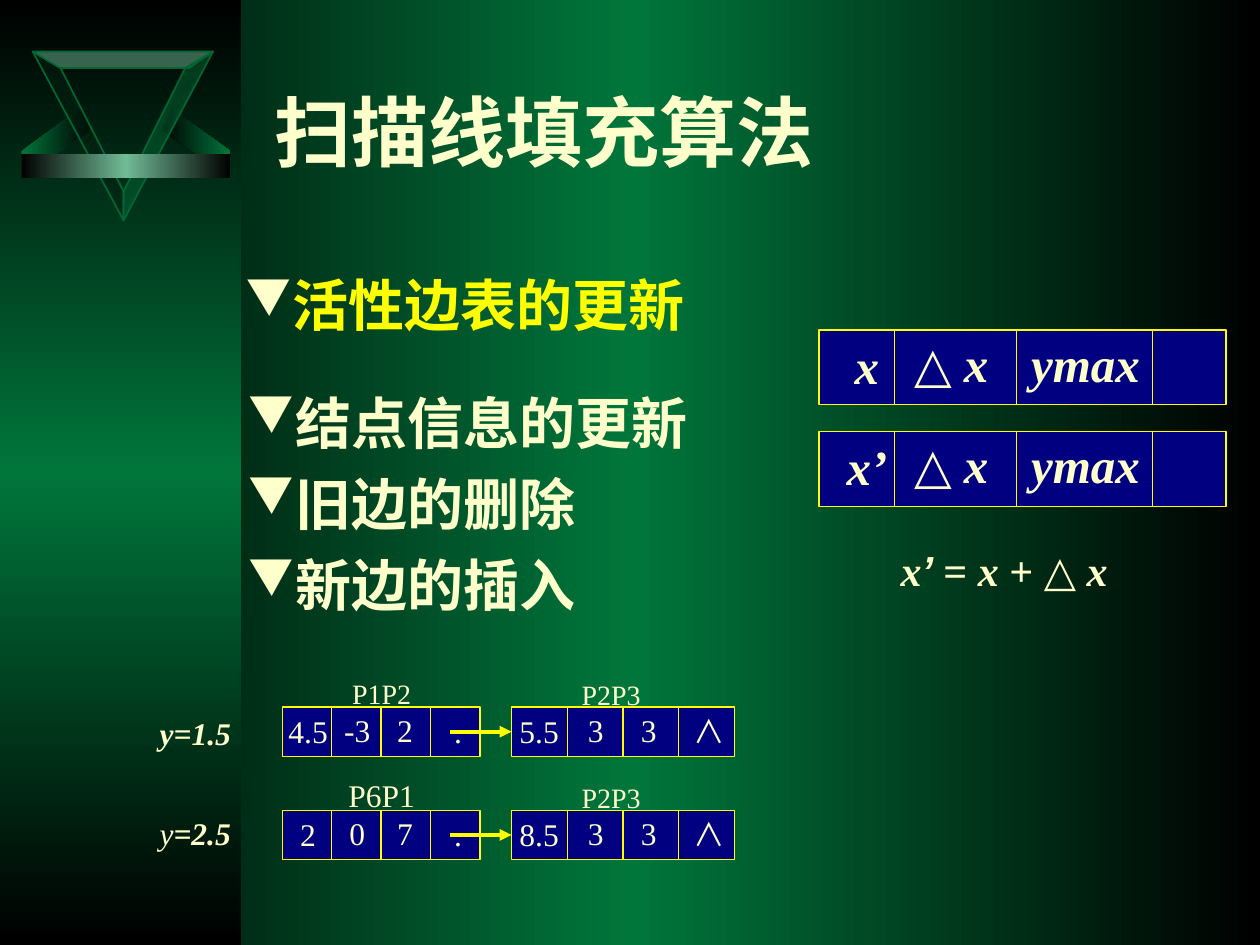
import dataclasses
import typing

import lxml.etree
import pptx
import pptx.dml.color
import pptx.enum.shapes
import pptx.enum.text
import pptx.oxml.ns
import pptx.util

Pt = pptx.util.Pt
qn = pptx.oxml.ns.qn
ALIGN = pptx.enum.text.PP_ALIGN
SERIF, SANS, CJK = "Times New Roman", "Arial", "Noto Sans CJK SC"
CREAM, YELLOW, NAVY = "FFFFCC", "FFFF00", "000080"
BLACK, GREEN, MINT, DARK_GREEN = "000000", "00763B", "71BB96", "006633"


class Run(typing.NamedTuple):
    text: str
    italic: bool | None = None
    bold: bool | None = None
    font: str | None = None


@dataclasses.dataclass
class Style:
    size: float
    bold: bool = False
    italic: bool | None = False
    color: str = CREAM
    font: str = SERIF
    align: ALIGN | None = ALIGN.CENTER
    before: float = 0
    line_spacing: float | None = None
    bullet: bool = False
    anchor: pptx.enum.text.MSO_ANCHOR = pptx.enum.text.MSO_ANCHOR.TOP
    grow: bool = True


@dataclasses.dataclass
class Facet:
    points: list[tuple[float, float]]
    colors: list[str]
    outlined: bool = True


@dataclasses.dataclass
class NodeLayout:
    width: float
    height: float
    dividers: list[float]
    cells: list[tuple[float, float, float]]


def rgb(value: str) -> pptx.dml.color.RGBColor:
    return pptx.dml.color.RGBColor.from_string(value)


def set_gradient(fill, element, colors: list[str], angle: float) -> None:
    fill.gradient()
    fill.gradient_angle = angle
    stops = element.find(".//" + qn("a:gsLst"))
    for stop in list(stops):
        stops.remove(stop)
    for index, value in enumerate(colors):
        position = str(index * 100000 // (len(colors) - 1))
        stop = lxml.etree.SubElement(stops, qn("a:gs"), pos=position)
        lxml.etree.SubElement(stop, qn("a:srgbClr"), val=value)


def set_fill(shape, colors: list[str], angle: float = 0) -> None:
    shape.shadow.inherit = False
    if len(colors) > 1:
        set_gradient(shape.fill, shape.element, colors, angle)
    else:
        shape.fill.solid()
        shape.fill.fore_color.rgb = rgb(colors[0])


def set_line(line, color: str | None, width: float = 0.75) -> None:
    if color is None:
        line.fill.background()
    else:
        line.color.rgb = rgb(color)
        line.width = Pt(width)


def add_box(slide, left, top, width, height, colors, line=None, angle=0):
    kind = pptx.enum.shapes.MSO_SHAPE.RECTANGLE
    shape = slide.shapes.add_shape(kind, Pt(left), Pt(top), Pt(width), Pt(height))
    set_fill(shape, colors, angle)
    set_line(shape.line, line)
    return shape


def add_line(slide, x1, y1, x2, y2, width=0.75, arrow=False):
    kind = pptx.enum.shapes.MSO_CONNECTOR.STRAIGHT
    connector = slide.shapes.add_connector(kind, Pt(x1), Pt(y1), Pt(x2), Pt(y2))
    set_line(connector.line, YELLOW, width)
    if arrow:
        line_element = connector.line._get_or_add_ln()
        lxml.etree.SubElement(line_element, qn("a:tailEnd"), type="triangle")
    lxml.etree.SubElement(connector.element.spPr, qn("a:effectLst"))
    return connector


def add_facet(slide, facet: Facet) -> None:
    points = [(Pt(x), Pt(y)) for x, y in facet.points]
    builder = slide.shapes.build_freeform(*points[0], scale=1.0)
    builder.add_line_segments(points[1:], close=True)
    shape = builder.convert_to_shape()
    set_fill(shape, facet.colors)
    set_line(shape.line, DARK_GREEN if facet.outlined else None, 1)
    if facet.outlined:
        color = shape.element.spPr.find(qn("a:solidFill")).find(qn("a:srgbClr"))
        lxml.etree.SubElement(color, qn("a:alpha"), val="50000")


def add_bullet(paragraph) -> None:
    properties = paragraph._p.get_or_add_pPr()
    properties.set("marL", str(Pt(27)))
    properties.set("indent", str(-Pt(27)))
    color = lxml.etree.SubElement(properties, qn("a:buClr"))
    lxml.etree.SubElement(color, qn("a:srgbClr"), val=CREAM)
    lxml.etree.SubElement(properties, qn("a:buSzPct"), val="90000")
    lxml.etree.SubElement(properties, qn("a:buChar"), char="▼")


def add_text(slide, left, top, width, height, lines: list[list[Run]], style: Style) -> None:
    box = slide.shapes.add_textbox(Pt(left), Pt(top), Pt(width), Pt(height))
    frame = box.text_frame
    frame.word_wrap = True
    frame.vertical_anchor = style.anchor
    if style.grow:
        frame.auto_size = pptx.enum.text.MSO_AUTO_SIZE.SHAPE_TO_FIT_TEXT
    for index, runs in enumerate(lines):
        paragraph = frame.add_paragraph() if index else frame.paragraphs[0]
        paragraph.alignment = style.align
        paragraph.space_before = Pt(style.before)
        paragraph.line_spacing = style.line_spacing
        if style.bullet:
            add_bullet(paragraph)
        font = paragraph.font
        font.name, font.size = style.font, Pt(style.size)
        font.bold, font.italic = style.bold, style.italic
        font.color.rgb = rgb(style.color)
        for item in runs:
            run = paragraph.add_run()
            run.text = item.text
            run.font.italic, run.font.bold = item.italic, item.bold
            if item.font:
                run.font.name = item.font


def add_node(slide, left, top, layout: NodeLayout, contents: list[list[Run]], style: Style):
    box = add_box(slide, left, top, layout.width, layout.height, [NAVY], YELLOW)
    for offset in layout.dividers:
        x = left + offset
        divider = add_line(slide, x, top, x, top + layout.height)
        if offset == layout.width / 2:
            divider.begin_connect(box, 0)
            divider.end_connect(box, 2)
    for (offset, lift, width), runs in zip(layout.cells, contents):
        font = CJK if runs[0].text == "∧" else style.font
        cell_style = dataclasses.replace(style, font=font)
        add_text(slide, left + offset, top - lift, width, style.size * 1.4 + 2, [runs], cell_style)
    return box


FACETS = [
    Facet([(131.8, 86.4), (131.8, 101.5), (92.2, 74.2), (92.2, 75.6), (97.9, 61.9)], [BLACK, GREEN], False),
    Facet([(12.2, 86.4), (12.2, 101.5), (51.8, 74.2), (51.8, 75.6), (46.1, 61.9)], [GREEN, BLACK], False),
    Facet([(70.6, 126), (70.6, 109.4), (34.6, 38.9), (18.7, 29.5)], ["002010"]),
    Facet([(18.7, 29.5), (34.6, 38.9), (108, 38.9), (121.7, 29.5)], [MINT]),
    Facet([(70.6, 126), (70.6, 109.4), (105.8, 38.9), (121.7, 29.5)], [DARK_GREEN]),
]
RECORD = NodeLayout(232.6, 42.8, [43.2, 113, 190.8], [(-11.5, 0.7, 77.8), (25.9, 1.6, 99.4), (96.5, 1.6, 111.6)])
EDGE_LEFT = NodeLayout(113, 28.2, [113 * n / 4 for n in (1, 2, 3)],
                       [(-10.8, 0.6, 51.1), (17.3, 1.2, 51.1), (44.6, 1.2, 51.1), (74.9, 0.6, 51.1)])
EDGE_RIGHT = NodeLayout(127.4, 28.2, [127.4 * n / 4 for n in (1, 2, 3)],
                        [(-13, 0.6, 57.6), (19.4, 1.2, 57.6), (49.7, 1.2, 57.6), (84.2, 0.6, 57.6)])
SCAN_ROWS = [
    (404, ["4.5", "-3", "2", "."], ["5.5", "3", "3", "∧"], "P1P2", 16, 383,
     [Run("y=1.5", True, True)], 404.6),
    (463, ["2", "0", "7", "."], ["8.5", "3", "3", "∧"], "P6P1", 18, 439.9,
     [Run("y", True), Run("=2.5", True, True)], 461.5),
]


def main() -> None:
    presentation = pptx.Presentation()
    presentation.slide_width, presentation.slide_height = Pt(720), Pt(540)
    slide = presentation.slides.add_slide(presentation.slide_layouts[6])
    set_gradient(slide.background.fill, slide.element, [BLACK, GREEN, BLACK], 0)
    add_box(slide, 0, 0, 138, 540, [BLACK, GREEN, BLACK], angle=270)
    for facet in FACETS:
        add_facet(slide, facet)
    add_box(slide, 12.2, 87.8, 119.5, 13.7, [BLACK, MINT, BLACK])

    title = Style(44, bold=True, align=None, anchor=pptx.enum.text.MSO_ANCHOR.MIDDLE, grow=False)
    add_text(slide, 149.8, 18, 558, 113.8, [[Run("扫描线填充算法")]], title)
    bullets = Style(32, bold=True, align=None, before=8, bullet=True, grow=False)
    heading = dataclasses.replace(bullets, color=YELLOW)
    add_text(slide, 133.2, 151.2, 300.2, 62.6, [[Run("活性边表的更新")]], heading)
    steps = ["结点信息的更新", "旧边的删除", "新边的插入"]
    add_text(slide, 134.6, 218.2, 310.3, 142.6, [[Run(step)] for step in steps], bullets)

    formula = [Run("x", True), Run("’ ", True, font=SANS), Run("= "), Run("x ", True),
               Run("+ △ "), Run("x", True)]
    formula_style = Style(24, bold=True, italic=None, align=None, before=15, line_spacing=0.85)
    add_text(slide, 507.6, 311.8, 153.4, 31.7, [formula], formula_style)

    record_style = Style(28, bold=True, italic=None, before=17.5)
    for top, name in ((188.6, "x"), (246.6, "x’")):
        contents = [[Run(name, True)], [Run("△ "), Run("x", True)], [Run("ymax", True)]]
        add_node(slide, 468, top, RECORD, contents, record_style)

    cell_style = Style(18, italic=None, before=11.2)
    for top, left_values, right_values, label, label_size, label_top, scan_line, scan_top in SCAN_ROWS:
        add_node(slide, 161.3, top, EDGE_LEFT, [[Run(value)] for value in left_values], cell_style)
        right = add_node(slide, 292.3, top, EDGE_RIGHT, [[Run(value)] for value in right_values], cell_style)
        middle = top + EDGE_RIGHT.height / 2
        arrow = add_line(slide, 257.2, middle, 292.3, middle, 2.25, arrow=True)
        arrow.end_connect(right, 1)
        small = Style(16, before=10)
        label_style = small if label_size == 16 else cell_style
        add_text(slide, 167, label_top, 102.2, 26.6, [[Run(label)]], label_style)
        add_text(slide, 298.1, top - 20.6, 102.2, 26.6, [[Run("P2P3")]], small)
        add_text(slide, 72, scan_top, 79.2, 28.8, [scan_line], cell_style)

    presentation.save("out.pptx")


if __name__ == "__main__":
    main()
